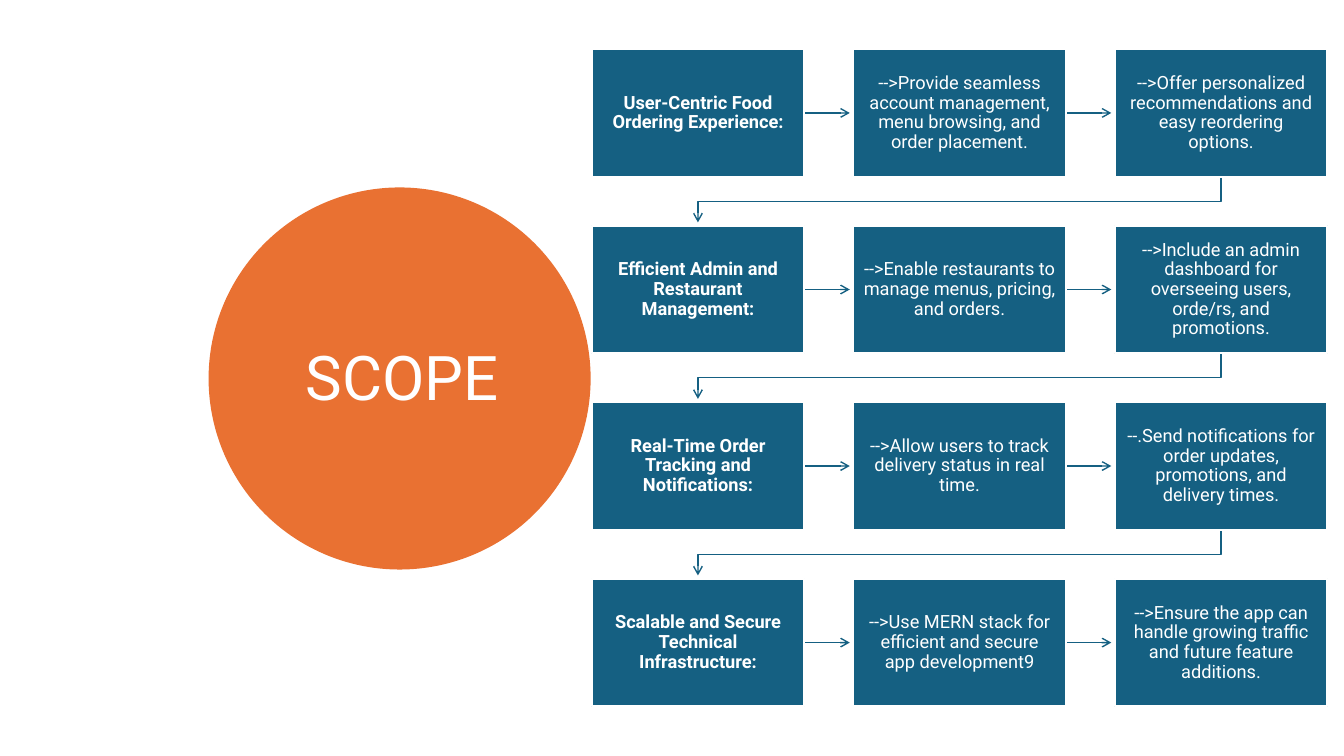
from pptx import Presentation
from pptx.dml.color import RGBColor
from pptx.enum.shapes import MSO_CONNECTOR, MSO_SHAPE
from pptx.enum.text import MSO_ANCHOR, MSO_AUTO_SIZE, PP_ALIGN
from pptx.oxml.ns import qn
from pptx.util import Pt
from lxml import etree

STRAIGHT = MSO_CONNECTOR.STRAIGHT
OVAL, RECTANGLE = MSO_SHAPE.OVAL, MSO_SHAPE.RECTANGLE
MIDDLE, NO_AUTOFIT = MSO_ANCHOR.MIDDLE, MSO_AUTO_SIZE.NONE
LEFT, CENTER = PP_ALIGN.LEFT, PP_ALIGN.CENTER
RIGHT_SIDE = 3

SCOPE_ROWS = [
    ("User-Centric Food Ordering Experience:",
     "-->Provide seamless account management, menu browsing, and order placement.",
     "-->Offer personalized recommendations and easy reordering options."),
    ("Efficient Admin and Restaurant Management:",
     "-->Enable restaurants to manage menus, pricing, and orders.",
     "-->Include an admin dashboard for overseeing users, orde/rs, and promotions."),
    ("Real-Time Order Tracking and Notifications:",
     "-->Allow users to track delivery status in real time.",
     "--.Send notifications for order updates, promotions, and delivery times."),
    ("Scalable and Secure Technical Infrastructure:",
     "-->Use MERN stack for efficient and secure app development9",
     "-->Ensure the app can handle growing traffic and future feature additions."),
]
GRID_LEFT, GRID_TOP = 422.6, 35.1
STEP_WIDTH, STEP_HEIGHT = 151.9, 91.2
COLUMN_PITCH, ROW_PITCH = 186.8, 126.1
ARROW_GAP = 2.4


def rgb(hex_color):
    return RGBColor.from_string(hex_color)


class ScopeSlide:
    """Draws the scope flow on one slide in a single style."""

    font, white, blue, orange = "Roboto", "FFFFFF", "156082", "E97132"

    def __init__(self, slide):
        self.shapes = slide.shapes

    def set_text(self, frame, text, size, align, bold=False):
        frame.text = text
        frame.word_wrap = True
        frame.auto_size = NO_AUTOFIT
        frame.vertical_anchor = MIDDLE
        paragraph = frame.paragraphs[0]
        paragraph.alignment = align
        paragraph.line_spacing = 0.9
        font = paragraph.font
        font.name, font.size, font.bold = self.font, Pt(size), bold
        font.color.rgb = rgb(self.white)

    def block(self, kind, left, top, width, height, fill):
        block = self.shapes.add_shape(kind, Pt(left), Pt(top), Pt(width), Pt(height))
        block.shadow.inherit = False
        block.fill.solid()
        block.fill.fore_color.rgb = rgb(fill)
        return block

    def title(self, text):
        title = self.shapes.title
        title.left, title.top, title.width, title.height = Pt(189.4), Pt(154.8), Pt(191.5), Pt(234.7)
        self.set_text(title.text_frame, text, 44, LEFT)
        title.text_frame.margin_left = Pt(29)
        disc = self.block(OVAL, 149, 133.9, 272.9, 272.9, self.orange)
        disc.line.fill.background()
        title.element.addprevious(disc.element)

    def step(self, left, top, text, bold):
        step = self.block(RECTANGLE, left, top, STEP_WIDTH, STEP_HEIGHT, self.blue)
        step.line.color.rgb = rgb(self.white)
        step.line.width = Pt(1.5)
        frame = step.text_frame
        frame.margin_left = frame.margin_right = Pt(7.4)
        frame.margin_top = frame.margin_bottom = Pt(7.8)
        self.set_text(frame, text, 13, CENTER, bold)
        return step

    def arrow_line(self, arrow):
        arrow.line.color.rgb = rgb(self.blue)
        arrow.line.width = Pt(1)
        outline = arrow.element.spPr.find(qn("a:ln"))
        etree.SubElement(outline, qn("a:tailEnd"), type="arrow")

    def next_step(self, step, left, top):
        middle = top + STEP_HEIGHT / 2
        arrow = self.shapes.add_connector(
            STRAIGHT, Pt(left + STEP_WIDTH), Pt(middle),
            Pt(left + COLUMN_PITCH - ARROW_GAP), Pt(middle))
        arrow.begin_connect(step, RIGHT_SIDE)
        self.arrow_line(arrow)
        etree.SubElement(arrow.element.spPr, qn("a:effectLst"))
        step.element.addprevious(arrow.element)

    def next_row(self, step, left, top):
        first_center = GRID_LEFT + STEP_WIDTH / 2
        last_center = left + STEP_WIDTH / 2
        bottom, next_top = top + STEP_HEIGHT, top + ROW_PITCH
        turn = (bottom + next_top) / 2
        route = self.shapes.build_freeform(Pt(last_center), Pt(bottom))
        corners = [(last_center, turn), (first_center, turn), (first_center, next_top - ARROW_GAP)]
        route.add_line_segments([(Pt(x), Pt(y)) for x, y in corners], close=False)
        bend = route.convert_to_shape()
        bend.shadow.inherit = False
        bend.fill.background()
        self.arrow_line(bend)
        step.element.addprevious(bend.element)


def main():
    presentation = Presentation()
    presentation.slide_width, presentation.slide_height = Pt(960), Pt(540)
    scope = ScopeSlide(presentation.slides.add_slide(presentation.slide_layouts[5]))
    scope.title("SCOPE")
    for row, texts in enumerate(SCOPE_ROWS):
        top = GRID_TOP + row * ROW_PITCH
        for column, text in enumerate(texts):
            left = GRID_LEFT + column * COLUMN_PITCH
            step = scope.step(left, top, text, bold=column == 0)
            if column < len(texts) - 1:
                scope.next_step(step, left, top)
            elif row < len(SCOPE_ROWS) - 1:
                scope.next_row(step, left, top)
    presentation.save("out.pptx")


if __name__ == "__main__":
    main()
